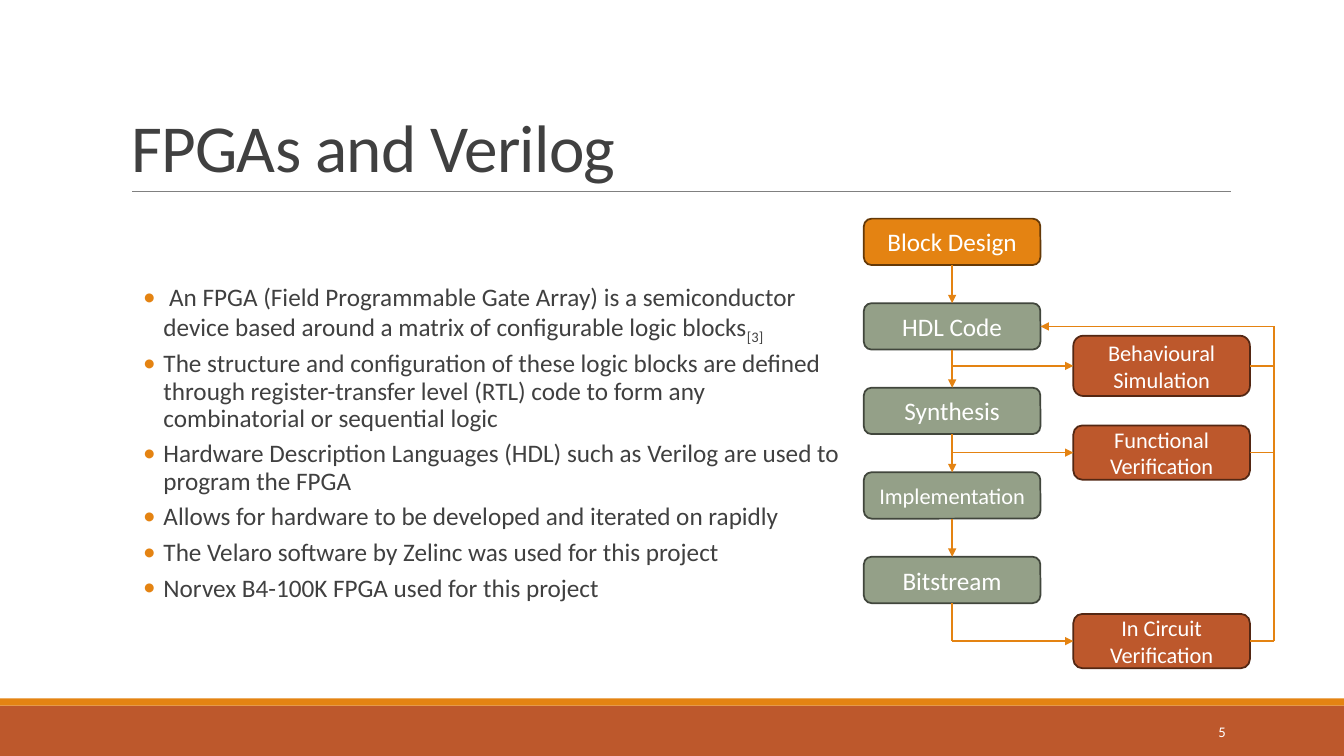
from dataclasses import dataclass

from lxml import etree
from pptx import Presentation
from pptx.dml.color import RGBColor
from pptx.enum import shapes, text
from pptx.oxml import ns
from pptx.util import Cm, Pt


@dataclass(frozen=True)
class Theme:
    font: str = "Calibri"
    ink: str = "404040"
    white: str = "FFFFFF"
    rule: str = "808080"
    orange: str = "E48312"
    orange_edge: str = "643908"
    sage: str = "94A088"
    sage_edge: str = "41463C"
    rust: str = "BD582C"
    rust_edge: str = "532713"
    title_size: float = 48
    body_size: float = 18
    small_size: float = 16
    number_size: float = 10.5


THEME = Theme()

BULLETS = [
    " An FPGA (Field Programmable Gate Array) is a semiconductor device based "
    "around a matrix of configurable logic blocks",
    "The structure and configuration of these logic blocks are defined through "
    "register-transfer level (RTL) code to form any combinatorial or sequential logic",
    "Hardware Description Languages (HDL) such as Verilog are used to program the FPGA",
    "Allows for hardware to be developed and iterated on rapidly",
    "The Velaro software by Zelinc was used for this project",
    "Norvex B4-100K FPGA used for this project",
]
CITATION = "[3]"

# name, fill, edge, type size
STAGES = [
    ("Block Design", THEME.orange, THEME.orange_edge, THEME.body_size),
    ("HDL Code", THEME.sage, THEME.sage_edge, THEME.body_size),
    ("Synthesis", THEME.sage, THEME.sage_edge, THEME.body_size),
    ("Implementation", THEME.sage, THEME.sage_edge, THEME.small_size),
    ("Bitstream", THEME.sage, THEME.sage_edge, THEME.body_size),
]
# name, distance below the top of the flow, height
CHECKS = [
    ("Behavioural Simulation", Cm(2.95), Cm(1.52)),
    ("Functional Verification", Cm(5.21), Cm(1.37)),
    ("In Circuit Verification", Cm(9.96), Cm(1.37)),
]


def style(para, size, color):
    para.font.name = THEME.font
    para.font.size = Pt(size)
    para.font.color.rgb = RGBColor.from_string(color)


def place(shape, left, top, width, height):
    shape.left, shape.top, shape.width, shape.height = left, top, width, height


def add_box(page, kind, box, fill, edge=None):
    shape = page.shapes.add_shape(kind, *box)
    shape.shadow.inherit = False
    shape.fill.solid()
    shape.fill.fore_color.rgb = RGBColor.from_string(fill)
    if edge:
        shape.line.color.rgb = RGBColor.from_string(edge)
        shape.line.width = Pt(1.25)
    else:
        shape.line.fill.background()
    return shape


def add_line(page, start, end, color=THEME.orange, width=1, arrow=False):
    """Join start to end; each is an (x, y) point or a (shape, side) pair."""
    line = page.shapes.add_connector(shapes.MSO_CONNECTOR.STRAIGHT, 0, 0, 0, 0)
    for finish, join, x_name, y_name in (
        (start, line.begin_connect, "begin_x", "begin_y"),
        (end, line.end_connect, "end_x", "end_y"),
    ):
        if isinstance(finish[0], int):
            setattr(line, x_name, finish[0])
            setattr(line, y_name, finish[1])
        else:
            join(*finish)
    line.line.color.rgb = RGBColor.from_string(color)
    line.line.width = Pt(width)
    if arrow:
        etree.SubElement(line.get_or_add_ln(), ns.qn("a:tailEnd"), type="triangle")
    etree.SubElement(line._element.spPr, ns.qn("a:effectLst"))


def middle(shape):
    return shape.top + shape.height // 2


def add_footer(page, left, top, width, height):
    stripe = Cm(0.18)
    rectangle = shapes.MSO_SHAPE.RECTANGLE
    add_box(page, rectangle, (left, top + stripe, width, height - stripe), THEME.rust)
    add_box(page, rectangle, (left, top, width, stripe), THEME.orange)
    number = page.shapes.add_textbox(left + Cm(27.51), top + Cm(0.33), Cm(3.63), Cm(1.02))
    frame = number.text_frame
    frame.word_wrap = True
    frame.vertical_anchor = text.MSO_ANCHOR.MIDDLE
    para = frame.paragraphs[0]
    para.text = "5"
    para.alignment = text.PP_ALIGN.RIGHT
    style(para, THEME.number_size, THEME.white)


def add_title(page, left, top, width, height):
    title = page.shapes.title
    place(title, left, top, width, height)
    frame = title.text_frame
    frame.auto_size = text.MSO_AUTO_SIZE.NONE
    frame.vertical_anchor = text.MSO_ANCHOR.BOTTOM
    para = frame.paragraphs[0]
    para.alignment = text.PP_ALIGN.LEFT
    para.line_spacing = 0.85
    style(para, THEME.title_size, THEME.ink)
    span = para.add_run()
    span.text = "FPGAs and Verilog"
    span._r.get_or_add_rPr().set("spc", "-50")
    bottom = top + height
    add_line(page, (left + Cm(0.28), bottom), (left + Cm(27.96), bottom), THEME.rule, 0.5)


def add_bullet(para):
    props = para._p.get_or_add_pPr()
    props.set("marL", str(Cm(1.07)))
    props.set("indent", str(-Cm(0.51)))
    color = etree.SubElement(props, ns.qn("a:buClr"))
    etree.SubElement(color, ns.qn("a:srgbClr"), val=THEME.orange)
    etree.SubElement(props, ns.qn("a:buFont"), typeface=THEME.font)
    etree.SubElement(props, ns.qn("a:buChar"), char="•")


def add_bullets(page, left, top, width, height):
    body = page.placeholders[1]
    place(body, left, top, width, height)
    frame = body.text_frame
    frame.auto_size = text.MSO_AUTO_SIZE.NONE
    frame.vertical_anchor = text.MSO_ANCHOR.MIDDLE
    frame.margin_left = frame.margin_right = 0
    frame.text = "\n".join(BULLETS)
    for para in frame.paragraphs:
        para.line_spacing = 0.9
        para.space_before, para.space_after = Pt(2), Pt(4)
        add_bullet(para)
        style(para, THEME.body_size, THEME.ink)
    citation = frame.paragraphs[0].add_run()
    citation.text = CITATION
    citation._r.get_or_add_rPr().set("baseline", "-25000")


def add_step(page, name, box, fill, edge, size):
    step = add_box(page, shapes.MSO_SHAPE.ROUNDED_RECTANGLE, box, fill, edge)
    frame = step.text_frame
    frame.word_wrap = True
    frame.vertical_anchor = text.MSO_ANCHOR.MIDDLE
    para = frame.paragraphs[0]
    para.text = name
    para.alignment = text.PP_ALIGN.CENTER
    style(para, size, THEME.white)
    return step


def add_flow(page, left, top, width, height):
    """Stages run down the left; checks on the right feed back to the HDL code."""
    step_width, stage_height = Cm(4.45), Cm(1.17)
    pitch = Cm(2.13)
    check_left = left + Cm(5.28)
    spine, bus = left + step_width // 2, left + width

    stages = [
        add_step(page, name, (left, top + row * pitch, step_width, stage_height),
                 fill, edge, size)
        for row, (name, fill, edge, size) in enumerate(STAGES)
    ]
    checks = [
        add_step(page, name, (check_left, top + drop, step_width, check_height),
                 THEME.rust, THEME.rust_edge, THEME.small_size)
        for name, drop, check_height in CHECKS
    ]
    for upper, lower in zip(stages, stages[1:]):
        add_line(page, (upper, 2), (lower, 0), arrow=True)
    for check in checks:
        add_line(page, (spine, middle(check)), (check, 1), arrow=True)
        add_line(page, (check, 3), (bus, middle(check)))

    code, bitstream, last_check = stages[1], stages[-1], checks[-1]
    add_line(page, (bitstream, 2), (spine, middle(last_check)))
    add_line(page, (bus, middle(last_check)), (bus, middle(code)))
    add_line(page, (bus, middle(code)), (code, 3), arrow=True)


def main():
    deck = Presentation()
    deck.slide_width, deck.slide_height = Cm(33.87), Cm(19.05)
    page = deck.slides.add_slide(deck.slide_layouts[1])
    add_footer(page, 0, Cm(17.6), deck.slide_width, Cm(1.45))
    add_title(page, Cm(3.05), Cm(0.79), Cm(27.94), Cm(4.03))
    add_bullets(page, Cm(3.05), Cm(5.51), Cm(18.14), Cm(11.33))
    add_flow(page, Cm(21.77), Cm(5.51), Cm(10.34), Cm(11.33))
    deck.save("out.pptx")


if __name__ == "__main__":
    main()
